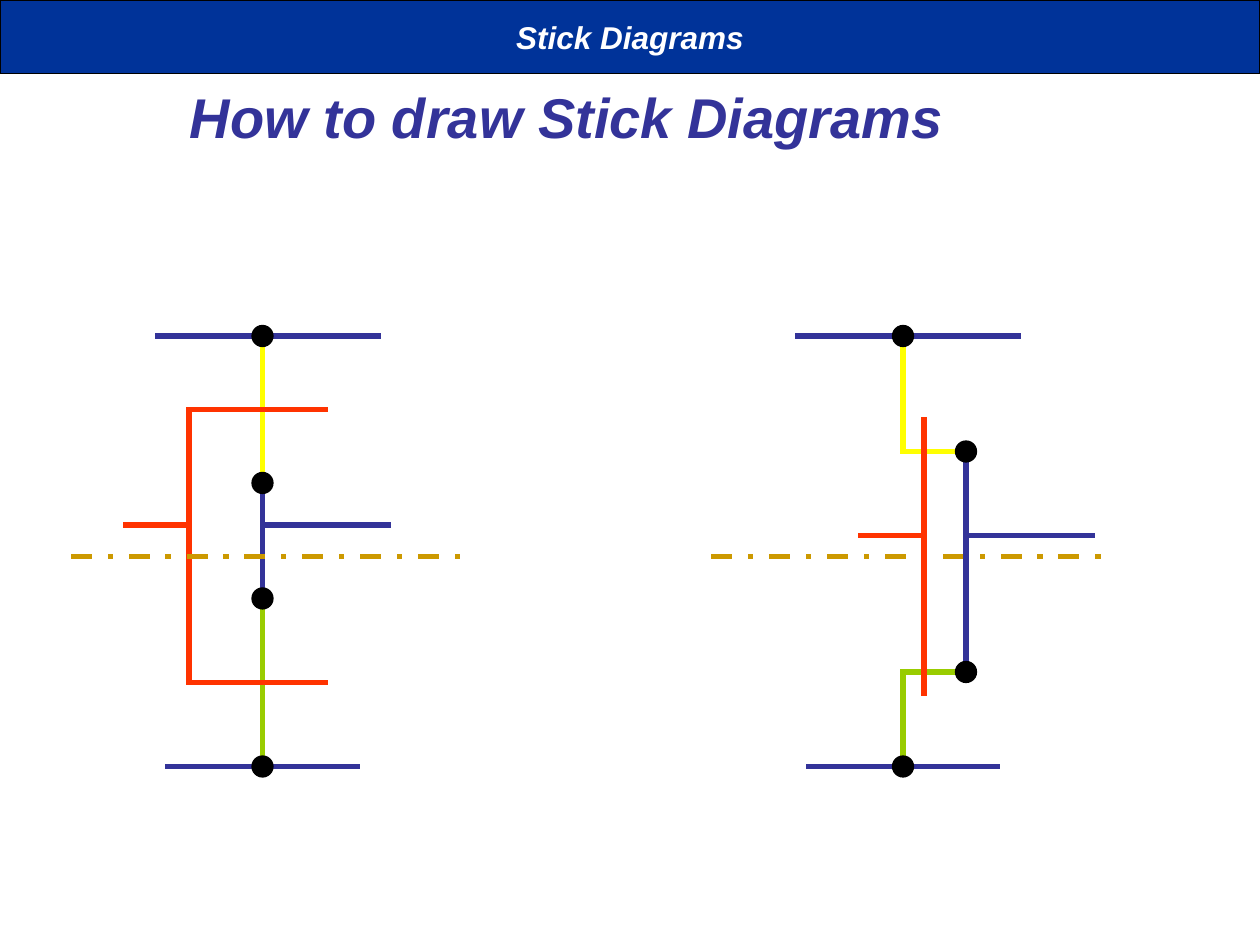
from lxml import etree
from pptx import Presentation
from pptx.dml.color import RGBColor
from pptx.enum.dml import MSO_LINE
from pptx.enum.shapes import MSO_CONNECTOR, MSO_SHAPE
from pptx.enum.text import MSO_ANCHOR, PP_ALIGN
from pptx.oxml.ns import qn
from pptx.util import Pt

STRAIGHT = MSO_CONNECTOR.STRAIGHT
OVAL, RECT = MSO_SHAPE.OVAL, MSO_SHAPE.RECTANGLE
DASH_DOT = MSO_LINE.DASH_DOT
MIDDLE, CENTER = MSO_ANCHOR.MIDDLE, PP_ALIGN.CENTER

COLORS = {
    "band": "003399", "white": "FFFFFF", "black": "000000",
    "metal": "333399", "poly": "FF3300", "pdiff": "FFFF00",
    "ndiff": "99CC00", "well": "CC9900",
}
VDD_Y, WELL_Y, GND_Y = 192, 318, 438
DOT = 12

# Wires are (layer, x1, y1, x2, y2), with x measured from the cell axis
RAILS = [("metal", -60, VDD_Y, 66, VDD_Y), ("metal", -54, GND_Y, 54, GND_Y)]
INVERTER = [
    ("pdiff", 0, VDD_Y, 0, 276),
    ("ndiff", 0, 342, 0, GND_Y),
    ("metal", 0, 276, 0, 342),
    ("metal", 0, 300, 72, 300),
    ("poly", -42, 234, 36, 234),
    ("poly", -42, 390, 36, 390),
    ("poly", -42, 234, -42, 390),
    ("poly", -78, 300, -42, 300),
]
COMPACT_INVERTER = [
    ("pdiff", 0, VDD_Y, 0, 258),
    ("pdiff", 0, 258, 36, 258),
    ("ndiff", 0, 384, 0, GND_Y),
    ("ndiff", 0, 384, 36, 384),
    ("metal", 36, 258, 36, 384),
    ("metal", 36, 306, 108, 306),
    ("poly", -24, 306, 12, 306),
    ("poly", 12, 240, 12, 396),
]


def rgb(name):
    return RGBColor.from_string(COLORS[name])


def add_text(sp, text, size, color):
    tf = sp.text_frame
    tf.word_wrap = True
    tf.vertical_anchor = MIDDLE
    p = tf.paragraphs[0]
    p.alignment = CENTER
    r = p.add_run()
    r.text = text
    r.font.name = "Arial"
    r.font.size = Pt(size)
    r.font.bold = r.font.italic = True
    r.font.color.rgb = rgb(color)


def add_filled(slide, kind, x, y, w, h, color):
    sp = slide.shapes.add_shape(kind, Pt(x), Pt(y), Pt(w), Pt(h))
    sp.shadow.inherit = False
    sp.fill.solid()
    sp.fill.fore_color.rgb = rgb(color)
    sp.line.color.rgb = rgb("black")
    sp.line.width = Pt(0.75)
    return sp


def add_wire(slide, axis, layer, x1, y1, x2, y2):
    cxn = slide.shapes.add_connector(
        STRAIGHT, Pt(axis + x1), Pt(y1), Pt(axis + x2), Pt(y2))
    cxn.line.color.rgb = rgb(layer)
    cxn.line.width = Pt(3)
    cxn.line.fill  # the line element exists from here on
    cxn.line._ln.set("cap", "sq")
    etree.SubElement(cxn._element.spPr, qn("a:effectLst"))
    return cxn


def add_well_line(slide, axis):
    cxn = add_wire(slide, axis, "well", -108, WELL_Y, 120, WELL_Y)
    cxn.line.dash_style = DASH_DOT


def add_wires(slide, axis, wires):
    for wire in wires:
        add_wire(slide, axis, *wire)


def add_contacts(slide, axis, inner):
    for x, y in [(0, VDD_Y), *inner, (0, GND_Y)]:
        add_filled(slide, OVAL, axis + x - DOT / 2, y - DOT / 2, DOT, DOT, "black")


def main():
    prs = Presentation()
    prs.slide_width, prs.slide_height = Pt(720), Pt(540)
    slide = prs.slides.add_slide(prs.slide_layouts[6])

    # Header band and title
    band = add_filled(slide, RECT, 0, 0, 720, 42, "band")
    add_text(band, "Stick Diagrams", 18, "white")
    title = slide.shapes.add_textbox(Pt(0), Pt(21.6), Pt(648), Pt(90))
    add_text(title, "How to draw Stick Diagrams", 32, "metal")

    # Left cell: the well line crosses above the wires
    axis = 150
    add_wires(slide, axis, RAILS + INVERTER)
    add_well_line(slide, axis)
    add_contacts(slide, axis, [(0, 276), (0, 342)])

    # Right cell: the wires cross above the well line
    axis = 516
    add_well_line(slide, axis)
    add_wires(slide, axis, RAILS + COMPACT_INVERTER)
    add_contacts(slide, axis, [(36, 258), (36, 384)])

    prs.save("out.pptx")


if __name__ == "__main__":
    main()
